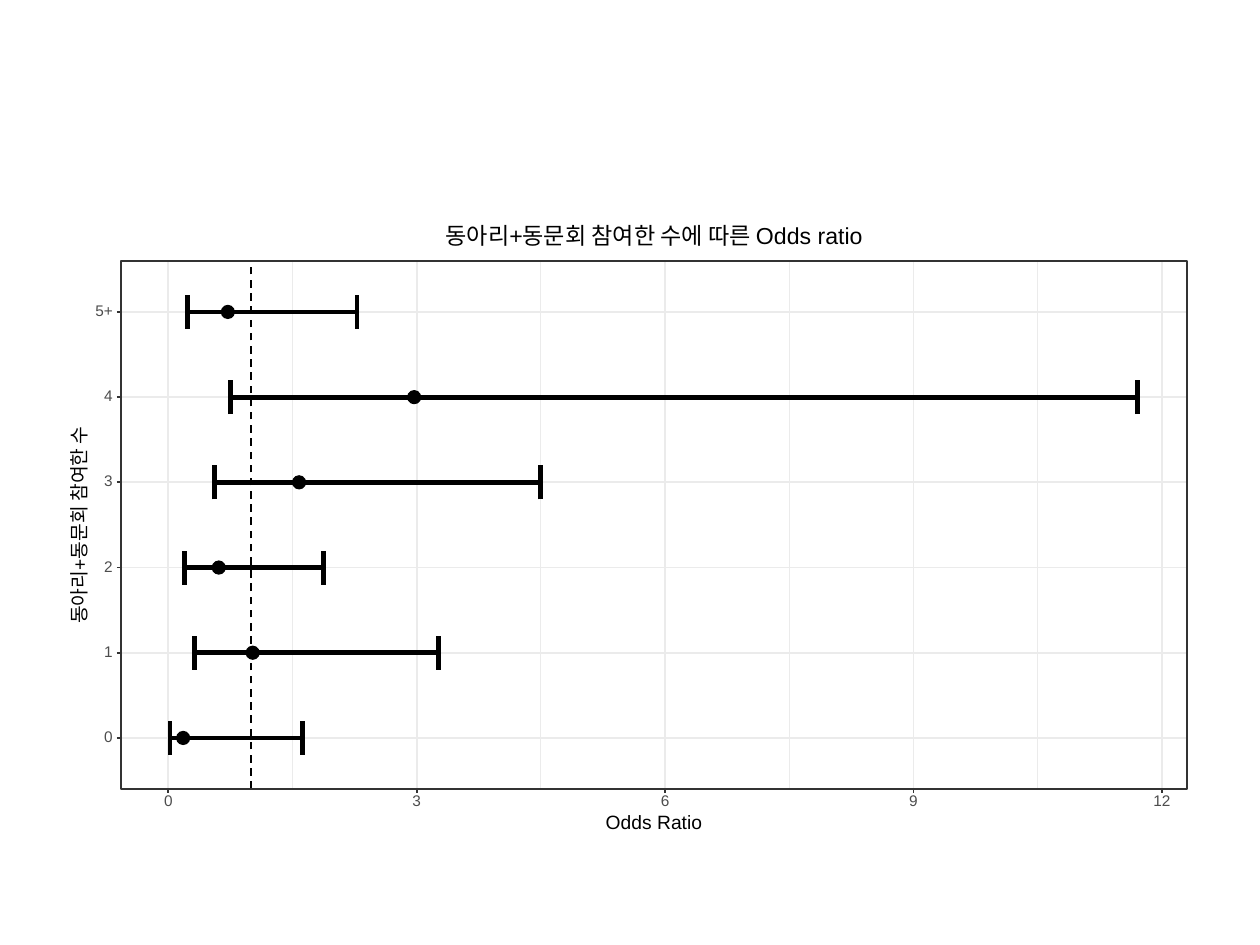
from pptx import Presentation
from pptx import util as u
from pptx.dml.color import RGBColor
from pptx.enum import dml, shapes, text
from pptx.oxml.ns import qn
from lxml import etree

PX = 914400 // 126
deck = Presentation()
deck.slide_width, deck.slide_height = u.Inches(10), u.Inches(7.5)
slide = deck.slides.add_slide(deck.slide_layouts[5])
items = slide.shapes


def rule(x1, y1, x2, y2, color, width):
    ends = [round(v * PX) for v in (x1, y1, x2, y2)]
    line = items.add_connector(shapes.MSO_CONNECTOR.STRAIGHT, *ends)
    line.line.color.rgb = RGBColor.from_string(color)
    line.line.width = u.Pt(width)
    etree.SubElement(line._element.spPr, qn("a:effectLst"))
    return line


def label(words, x, y, w, h, size, color="000000", box=None):
    # x and y give the centre of the label
    box = box or items.add_textbox(0, 0, 0, 0)
    box.left, box.top = round((x - w / 2) * PX), round((y - h / 2) * PX)
    box.width, box.height = w * PX, h * PX
    frame = box.text_frame
    frame.text = words
    frame.word_wrap = False
    frame.auto_size = text.MSO_AUTO_SIZE.NONE
    frame.vertical_anchor = text.MSO_ANCHOR.MIDDLE
    frame.margin_left = frame.margin_right = 0
    frame.margin_top = frame.margin_bottom = 0
    para = frame.paragraphs[0]
    para.alignment = text.PP_ALIGN.CENTER
    para.line_spacing = u.Pt(size)
    font = para.runs[0].font
    font.name, font.size = "Arial", u.Pt(size)
    font.color.rgb = RGBColor.from_string(color)
    return box


# Panel edges and scales
left, top, right, base = 121, 261, 1187, 789
zero, unit = 168.3, 82.8
first, step = 738, 85.2
ticks = range(0, 13, 3)

# Group, lower limit, odds ratio, upper limit
data = [
    ("0", 0.02, 0.18, 1.62),
    ("1", 0.32, 1.02, 3.26),
    ("2", 0.2, 0.61, 1.87),
    ("3", 0.56, 1.58, 4.5),
    ("4", 0.75, 2.97, 11.71),
    ("5+", 0.23, 0.72, 2.28),
]
rows = [first - step * i for i in range(len(data))]

# Grid: minor verticals, rows, major verticals
for tick in ticks[:-1]:
    x = zero + unit * (tick + 1.5)
    rule(x, base, x, top, "EBEBEB", 0.53)
for y in rows:
    rule(left, y, right, y, "EBEBEB", 1.07)
for tick in ticks:
    x = zero + unit * tick
    rule(x, base, x, top, "EBEBEB", 1.07)

# Points and whiskers
for y, (name, low, odds, high) in zip(rows, data):
    lo, mid, hi = (zero + unit * v for v in (low, odds, high))
    dot = items.add_shape(shapes.MSO_SHAPE.OVAL, round((mid - 6.5) * PX),
                          round((y - 6.5) * PX), 13 * PX, 13 * PX)
    dot.shadow.inherit = False
    dot.fill.solid()
    dot.fill.fore_color.rgb = RGBColor.from_string("000000")
    dot.line.color.rgb = RGBColor.from_string("000000")
    dot.line.width = u.Pt(0.71)
    rule(hi, y, lo, y, "000000", 2.77)
    for x in (lo, hi):
        rule(x, y + 17, x, y - 17, "000000", 2.77)

# Reference line at 1
one = rule(zero + unit, base, zero + unit, top, "000000", 1.07)
one.line.dash_style = dml.MSO_LINE.DASH

# Panel border
panel = items.add_shape(shapes.MSO_SHAPE.RECTANGLE, left * PX, top * PX,
                        (right - left) * PX, (base - top) * PX)
panel.shadow.inherit = False
panel.fill.background()
panel.line.color.rgb = RGBColor.from_string("333333")
panel.line.width = u.Pt(1.07)

# Axis ticks and their labels
for y, (name, *_) in zip(rows, data):
    w = 9 * len(name)
    label(name, 113 - w / 2, y, w, 11, 8.8, "4D4D4D")
    rule(left - 4, y, left, y, "333333", 1.07)
for tick in ticks:
    x = zero + unit * tick
    label(str(tick), x, 802, 9 * len(str(tick)), 11, 8.8, "4D4D4D")
    rule(x, base + 4, x, base, "333333", 1.07)

# Axis names and title
mid = (left + right) / 2
label("Odds Ratio", mid, 824, 96, 14, 11)
side = label("동아리+동문회 참여한 수", 81, 525, 166, 13, 11)
side.rotation = 270
label("동아리+동문회 참여한 수에 따른 Odds ratio", mid, 238, 480, 18, 13.2,
      box=items.title)

deck.save("out.pptx")
